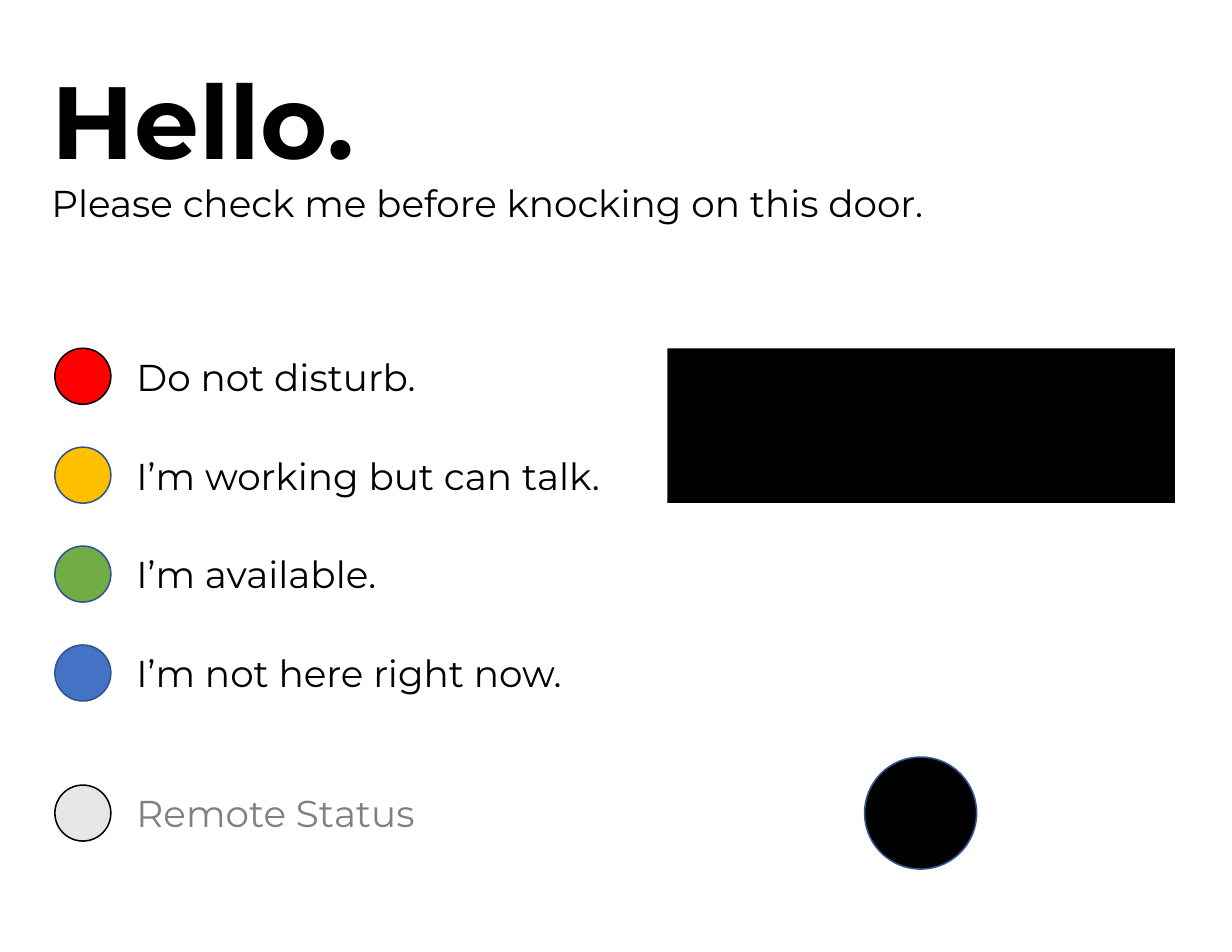
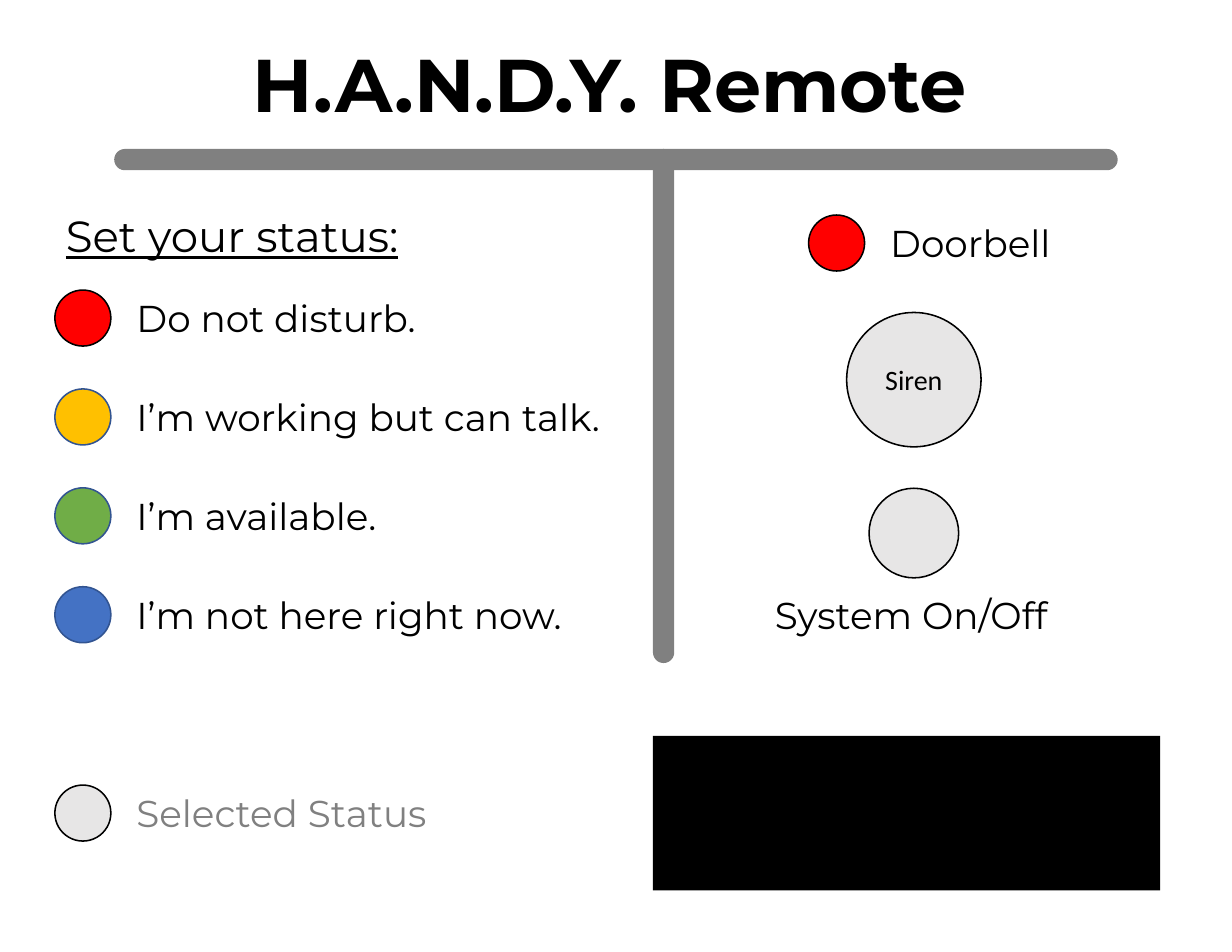
import pptx
import pptx.util
import pptx.dml.color
import pptx.enum.shapes
import pptx.enum.text

Inches = pptx.util.Inches
RGBColor = pptx.dml.color.RGBColor
SHAPE = pptx.enum.shapes.MSO_SHAPE

BLACK = RGBColor(0x00, 0x00, 0x00)
GRAY = RGBColor(0x80, 0x80, 0x80)
LIGHT = RGBColor(0xE7, 0xE6, 0xE6)
RED = RGBColor(0xFF, 0x00, 0x00)
AMBER = RGBColor(0xFF, 0xC0, 0x00)
GREEN = RGBColor(0x70, 0xAD, 0x47)
BLUE = RGBColor(0x44, 0x72, 0xC4)
OUTLINE = RGBColor(0x32, 0x54, 0x91)

# Content: label, label width, light colour, outline colour
STATUSES = [
    ("Do not disturb.", 2.72, RED, BLACK),
    ("I’m working but can talk.", 4.38, AMBER, OUTLINE),
    ("I’m available.", 2.37, GREEN, OUTLINE),
    ("I’m not here right now.", 4.06, BLUE, OUTLINE),
]
GREETING = [
    ("Hello.", {"size": 66, "bold": True}),
    ("Please check me before knocking on this door.", {}),
]

# Layout, in inches
LIGHT_LEFT = 0.49
LIGHT_SIZE = 0.5
LABEL_OFFSET = 0.63
STATUS_STEP = 0.883
INDICATOR_TOP = 7.01
SCREEN_SIZE = (4.53, 1.38)
BAR = 0.19
BAR_TOP = 1.33
CONTROL_CENTER = 8.16


def style_span(para, text, **changes):
    span = para.add_run()
    span.text = text
    style = {"name": "Montserrat", "size": 24, "color": BLACK} | changes
    span.font.color.rgb = style.pop("color")
    style["size"] = pptx.util.Pt(style["size"])
    for key, value in style.items():
        setattr(span.font, key, value)


def add_text(shapes, place, lines, wrap=False):
    box = shapes.add_textbox(*map(Inches, place))
    box.text_frame.word_wrap = wrap
    box.text_frame.auto_size = pptx.enum.text.MSO_AUTO_SIZE.SHAPE_TO_FIT_TEXT
    for index, (text, changes) in enumerate(lines):
        para = box.text_frame.add_paragraph() if index else box.text_frame.paragraphs[0]
        style_span(para, text, **changes)


def add_form(shapes, kind, place, fill, line=None):
    form = shapes.add_shape(kind, *map(Inches, place))
    form.shadow.inherit = False
    form.fill.solid()
    form.fill.fore_color.rgb = fill
    if line is None:
        form.line.fill.background()
    else:
        form.line.color.rgb = line
        form.line.width = pptx.util.Pt(1)
    return form


def add_circle(shapes, center, top, size, fill, line=BLACK):
    place = (center - size / 2, top, size, size)
    return add_form(shapes, SHAPE.OVAL, place, fill, line)


def add_light(page, left, top, label, width, fill, line=BLACK, color=BLACK):
    """A small round light with its label, as one group."""
    group = page.shapes.add_group_shape()
    add_circle(group.shapes, left + LIGHT_SIZE / 2, top, LIGHT_SIZE, fill, line)
    add_text(group.shapes, (left + LABEL_OFFSET, top, width, LIGHT_SIZE),
             [(label, {"color": color})])


def add_status_panel(page, top, indicator, indicator_width):
    for row, status in enumerate(STATUSES):
        add_light(page, LIGHT_LEFT, top + row * STATUS_STEP, *status)
    add_light(page, LIGHT_LEFT, INDICATOR_TOP, indicator, indicator_width,
              LIGHT, color=GRAY)


def add_screen(page, left, top):
    add_form(page.shapes, SHAPE.RECTANGLE, (left, top, *SCREEN_SIZE), BLACK)


def add_bar(page, place):
    bar = add_form(page.shapes, SHAPE.ROUNDED_RECTANGLE, place, GRAY)
    bar.adjustments[0] = 0.5


def build_door_sign(page):
    add_text(page.shapes, (0.36, 0.46, 10.28, 1.62), GREETING, wrap=True)
    add_status_panel(page, 3.11, "Remote Status", 2.71)
    add_screen(page, 5.96, 3.11)
    add_circle(page.shapes, 8.22, 6.76, 1, BLACK, OUTLINE)


def build_remote(page):
    # Title and dividing bars
    add_text(page.shapes, (2.16, 0.29, 6.68, 0.91),
             [("H.A.N.D.Y. Remote", {"size": 48, "bold": True})])
    add_bar(page, (1.02, BAR_TOP, 8.96, BAR))
    add_bar(page, (5.83, BAR_TOP, BAR, 4.59))

    # Status side
    add_text(page.shapes, (0.49, 1.82, 3.21, 0.57),
             [("Set your status:", {"size": 28, "underline": True})])
    add_status_panel(page, 2.59, "Selected Status", 2.82)
    add_screen(page, 5.83, 6.57)

    # Control side
    add_light(page, 7.22, 1.92, "Doorbell", 1.65, RED)
    siren = add_circle(page.shapes, CONTROL_CENTER, 2.79, 1.2, LIGHT)
    siren.text_frame.vertical_anchor = pptx.enum.text.MSO_ANCHOR.MIDDLE
    para = siren.text_frame.paragraphs[0]
    para.alignment = pptx.enum.text.PP_ALIGN.CENTER
    style_span(para, "Siren", name="Calibri", size=18)
    power = page.shapes.add_group_shape()
    add_circle(power.shapes, CONTROL_CENTER, 4.36, 0.8, LIGHT)
    add_text(power.shapes, (6.82, 5.24, 2.67, 0.5), [("System On/Off", {})])


def main():
    deck = pptx.Presentation()
    deck.slide_width = Inches(11)
    deck.slide_height = Inches(8.5)
    for build in (build_door_sign, build_remote):
        build(deck.slides.add_slide(deck.slide_layouts[6]))
    deck.save("out.pptx")


if __name__ == "__main__":
    main()
